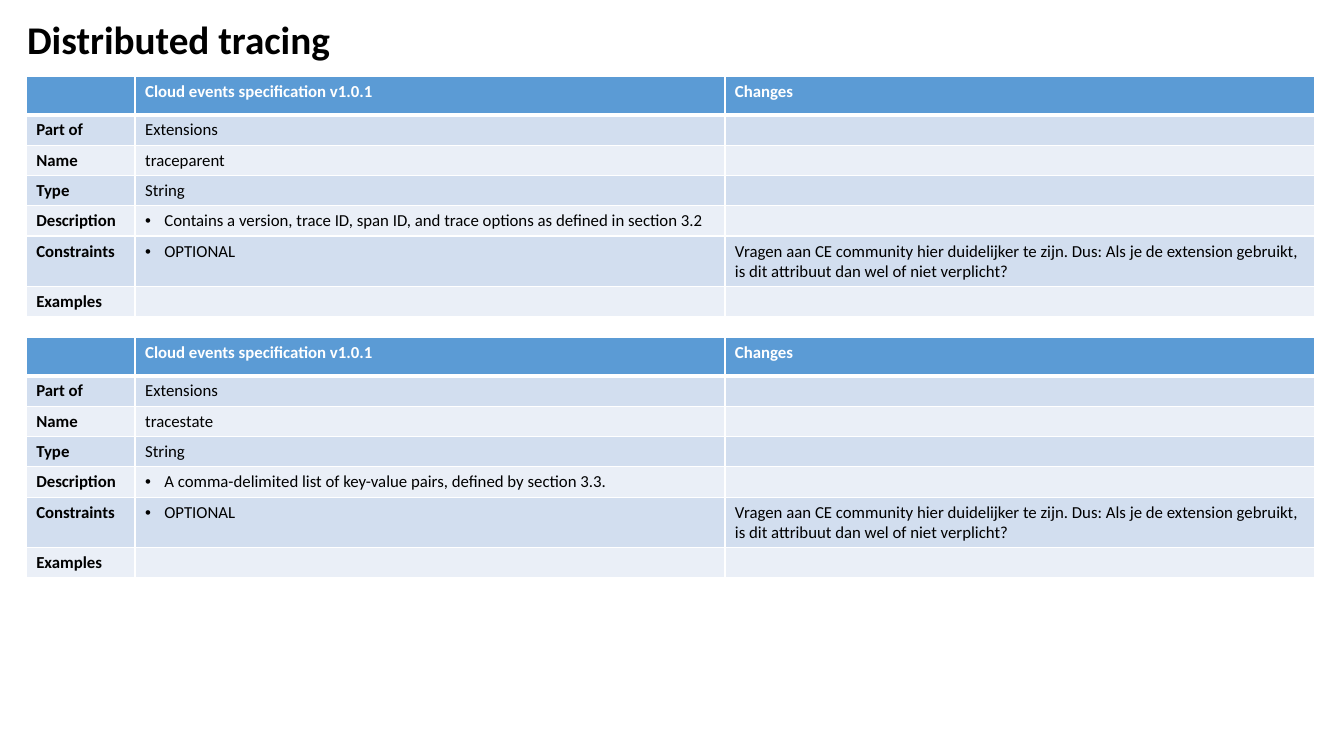
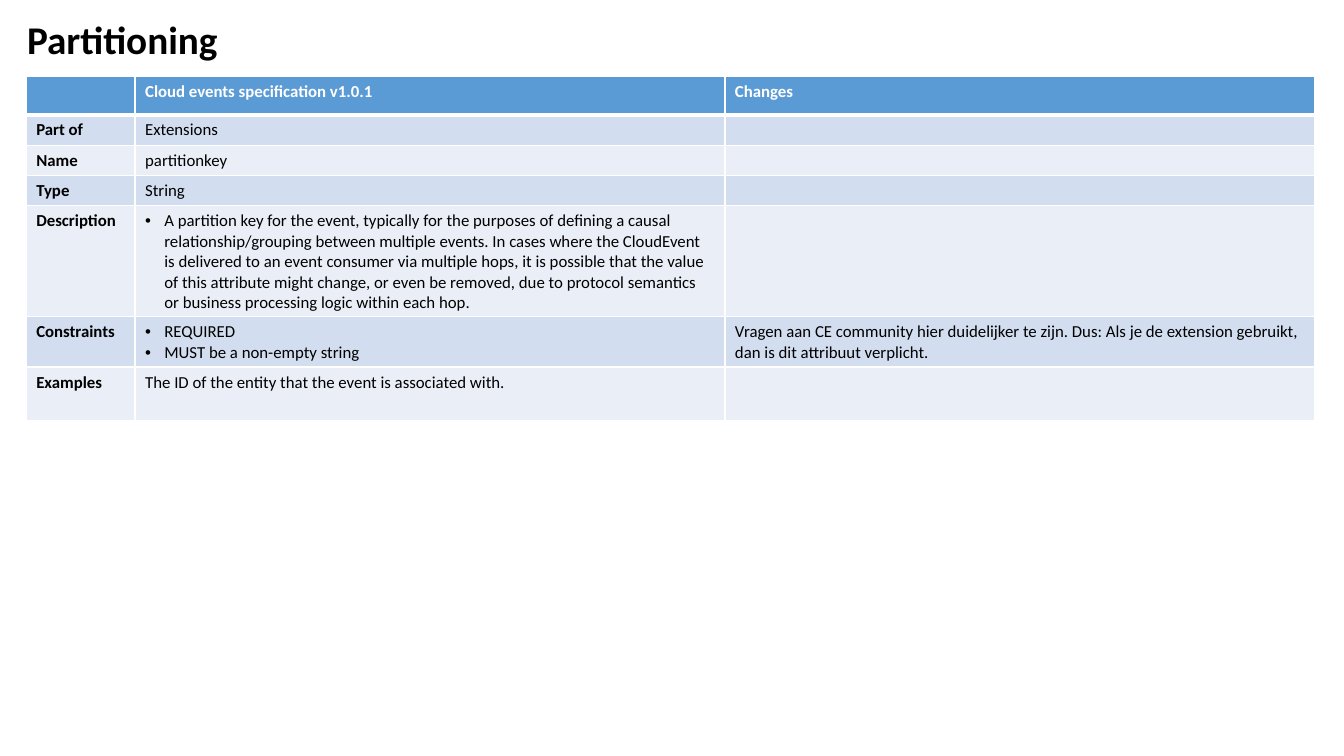
from lxml import etree
from pptx import Presentation
from pptx import util as u
from pptx.dml.color import RGBColor
from pptx.enum import text
from pptx.oxml import ns

COLOURS = {
    "text": "000000",
    "header": "5B9BD5",
    "header_text": "FFFFFF",
    "odd_row": "D2DEEF",
    "even_row": "EAEFF7",
    "border": "FFFFFF",
}
FONT = "Calibri"
BODY_SIZE = 12
TITLE_BOX = (0.17, 0.07, 5.95, 0.69)
TABLE_LEFT = 0.26
COLUMN_WIDTHS = (1.08, 5.85, 5.85)
ROW_HEIGHTS = (0.38, 0.28, 0.28, 0.28, 0.2, 0.21)
BULLET_INDENT = 0.19
HEADINGS = ("", "Cloud events specification v1.0.1", "Changes")
LABELS = ("Part of", "Name", "Type", "Description", "Constraints", "Examples")
CLARIFY = ("Vragen aan CE community hier duidelijker te zijn. "
           "Dus: Als je de extension gebruikt, ")
OPTIONAL_CHANGE = CLARIFY + "is dit attribuut dan wel of niet verplicht?"

# Each attribute: top of its table, height of its last row, the specification
# column (a list is bulleted) and the changes by row label.
SLIDES = [
    ("Distributed tracing", [
        (0.76, 0.29,
         ["Extensions", "traceparent", "String",
          ["Contains a version, trace ID, span ID, and trace options "
           "as defined in section 3.2"],
          ["OPTIONAL"], ""],
         {"Constraints": OPTIONAL_CHANGE}),
        (3.35, 0.29,
         ["Extensions", "tracestate", "String",
          ["A comma-delimited list of key-value pairs, defined by section 3.3."],
          ["OPTIONAL"], ""],
         {"Constraints": OPTIONAL_CHANGE}),
    ]),
    ("Partitioning", [
        (0.76, 0.53,
         ["Extensions", "partitionkey", "String",
          ["A partition key for the event, typically for the purposes of "
           "defining a causal relationship/grouping between multiple events. "
           "In cases where the CloudEvent is delivered to an event consumer "
           "via multiple hops, it is possible that the value of this attribute "
           "might change, or even be removed, due to protocol semantics or "
           "business processing logic within each hop."],
          ["REQUIRED", "MUST be a non-empty string"],
          "The ID of the entity that the event is associated with."],
         {"Constraints": CLARIFY + "dan is dit attribuut verplicht."}),
    ]),
]


def rgb(name):
    return RGBColor.from_string(COLOURS[name])


def add_run(paragraph, words, size, colour, bold):
    run = paragraph.add_run()
    run.text = words
    run.font.name = FONT
    run.font.size = u.Pt(size)
    run.font.bold = bold
    run.font.color.rgb = rgb(colour)


def add_bullet(paragraph):
    properties = paragraph._p.get_or_add_pPr()
    indent = u.Inches(BULLET_INDENT)
    properties.set("marL", str(indent))
    properties.set("indent", str(-indent))
    etree.SubElement(properties, ns.qn("a:buFont")).set("typeface", "Arial")
    etree.SubElement(properties, ns.qn("a:buChar")).set("char", "•")


def set_borders(cell, top, bottom):
    """Draw all four sides; top and bottom are widths in points."""
    properties = cell._tc.get_or_add_tcPr()
    for side, width in (("L", 1), ("R", 1), ("T", top), ("B", bottom)):
        line = etree.SubElement(properties, ns.qn(f"a:ln{side}"), w=str(u.Pt(width)))
        fill = etree.SubElement(line, ns.qn("a:solidFill"))
        etree.SubElement(fill, ns.qn("a:srgbClr"), val=COLOURS["border"])


def fill_cell(cell, content, colour, bold):
    """Write a string plainly, or a list as bullets."""
    frame = cell.text_frame
    if not content:
        # Keeps an empty cell from taking the taller default text size.
        etree.SubElement(frame.paragraphs[0]._p, ns.qn("a:endParaRPr"),
                         sz=str(BODY_SIZE * 100))
        return
    bulleted = isinstance(content, list)
    for index, words in enumerate(content if bulleted else [content]):
        paragraph = frame.add_paragraph() if index else frame.paragraphs[0]
        if bulleted:
            add_bullet(paragraph)
        add_run(paragraph, words, BODY_SIZE, colour, bold)


def add_title(slide, title):
    box = slide.shapes.add_textbox(*map(u.Inches, TITLE_BOX))
    frame = box.text_frame
    frame.word_wrap = True
    frame.vertical_anchor = text.MSO_ANCHOR.MIDDLE
    paragraph = frame.paragraphs[0]
    paragraph.line_spacing = 0.9
    add_run(paragraph, title, 28, "text", True)


def add_attribute_table(slide, top, last_height, specification, changes):
    rows = [HEADINGS] + [(label, value, changes.get(label, ""))
                         for label, value in zip(LABELS, specification)]
    heights = ROW_HEIGHTS + (last_height,)
    area = (TABLE_LEFT, top, sum(COLUMN_WIDTHS), sum(heights))
    table = slide.shapes.add_table(len(rows), len(HEADINGS),
                                   *map(u.Inches, area)).table
    table.horz_banding = False
    for column, width in zip(table.columns, COLUMN_WIDTHS):
        column.width = u.Inches(width)
    for r, (contents, height) in enumerate(zip(rows, heights)):
        table.rows[r].height = u.Inches(height)
        is_header = r == 0
        band = "header" if is_header else "odd_row" if r % 2 else "even_row"
        for c, content in enumerate(contents):
            cell = table.cell(r, c)
            set_borders(cell, top=3 if r == 1 else 1, bottom=3 if is_header else 1)
            cell.fill.solid()
            cell.fill.fore_color.rgb = rgb(band)
            fill_cell(cell, content, "header_text" if is_header else "text",
                      bold=is_header or c == 0)


def main():
    deck = Presentation()
    deck.slide_width, deck.slide_height = u.Inches(13.33), u.Inches(7.5)
    for title, attributes in SLIDES:
        slide = deck.slides.add_slide(deck.slide_layouts[6])
        add_title(slide, title)
        for attribute in attributes:
            add_attribute_table(slide, *attribute)
    deck.save("out.pptx")


if __name__ == "__main__":
    main()
